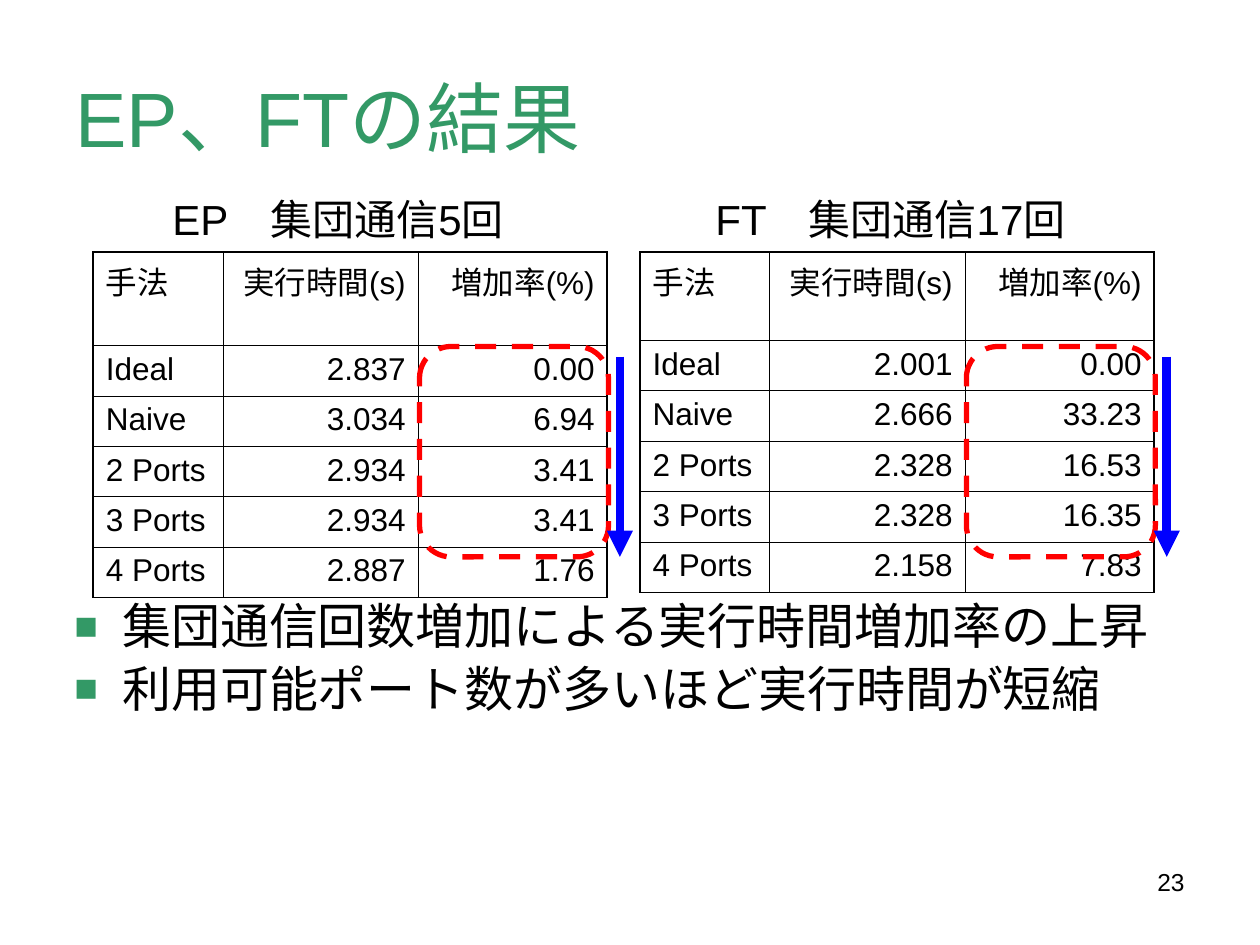
from dataclasses import dataclass

from lxml import etree
from pptx import Presentation
from pptx.dml.color import RGBColor
from pptx.enum import dml, shapes, text
from pptx.oxml.ns import qn
from pptx.util import Inches, Pt


@dataclass(frozen=True)
class Theme:
    font: str = "Arial"
    accent: str = "339966"
    ink: str = "000000"
    highlight: str = "FF0000"
    arrow: str = "0000FF"
    title: int = 44
    bullet: int = 28
    heading: int = 24
    cell: int = 18
    number: int = 14


THEME = Theme()


def write(paragraph, content, size, color=THEME.ink, align=text.PP_ALIGN.LEFT):
    paragraph.alignment = align
    run = paragraph.add_run()
    run.text = content
    run.font.name = THEME.font
    run.font.size = Pt(size)
    run.font.color.rgb = RGBColor.from_string(color)


def add_xml(parent, tag, **attributes):
    return etree.SubElement(parent, qn(tag), attributes)


deck = Presentation()
deck.slide_width, deck.slide_height = Inches(10), Inches(7.5)
slide = deck.slides.add_slide(deck.slide_layouts[1])

# Title
title = slide.shapes.title
title.left, title.top, title.width, title.height = map(Inches, (0.5, 0.3, 9, 1.25))
title.text_frame.vertical_anchor = text.MSO_ANCHOR.MIDDLE
title.text_frame.auto_size = text.MSO_AUTO_SIZE.NONE
write(title.text_frame.paragraphs[0], "EP、FTの結果", THEME.title, THEME.accent)

# Findings
findings = slide.placeholders[1]
findings.left, findings.top, findings.width, findings.height = map(
    Inches, (0.49, 4.75, 9, 1.25))
findings.text_frame.auto_size = text.MSO_AUTO_SIZE.NONE
for index, finding in enumerate((
        "集団通信回数増加による実行時間増加率の上昇",
        "利用可能ポート数が多いほど実行時間が短縮")):
    frame = findings.text_frame
    paragraph = frame.add_paragraph() if index else frame.paragraphs[0]
    properties = paragraph._p.get_or_add_pPr()
    properties.set("marL", str(Inches(0.38)))
    properties.set("indent", str(-Inches(0.38)))
    add_xml(add_xml(properties, "a:buClr"), "a:srgbClr", val=THEME.accent)
    add_xml(properties, "a:buSzPct", val="80000")
    add_xml(properties, "a:buFont", typeface=THEME.font)
    add_xml(properties, "a:buChar", char="■")
    paragraph.line_spacing = 0.85
    paragraph.space_before = Pt(7 if index else 0)
    write(paragraph, finding, THEME.bullet)

# Benchmarks: heading, heading left and width, table left, times and increases
header = ("手法", "実行時間(s)", "増加率(%)")
methods = ("Ideal", "Naive", "2 Ports", "3 Ports", "4 Ports")
benchmarks = (
    ("EP\u3000集団通信5回".replace("\u3000", "　"), 1.27, 3.07, 0.74,
     ("2.837", "3.034", "2.934", "2.934", "2.887"),
     ("0.00", "6.94", "3.41", "3.41", "1.76")),
    ("FT　集団通信17回", 5.58, 3.22, 5.08,
     ("2.001", "2.666", "2.328", "2.328", "2.158"),
     ("0.00", "33.23", "16.53", "16.35", "7.83")),
)
column_widths = (1.03, 1.55, 1.5)
row_heights = (0.7,) + (0.4,) * len(methods)
OUTER, INNER = Pt(1.08), Pt(0.45)

for heading, heading_left, heading_width, left, times, increases in benchmarks:
    # Result table
    rows = [header, *zip(methods, times, increases)]
    results = slide.shapes.add_table(
        len(rows), len(header), Inches(left), Inches(2),
        Inches(sum(column_widths)), Inches(sum(row_heights))).table
    results.first_row = results.horz_banding = False
    for column, width in zip(results.columns, column_widths):
        column.width = Inches(width)
    for row, height in zip(results.rows, row_heights):
        row.height = Inches(height)
    for r, values in enumerate(rows):
        for c, value in enumerate(values):
            cell = results.cell(r, c)
            align = text.PP_ALIGN.RIGHT if c else text.PP_ALIGN.LEFT
            write(cell.text_frame.paragraphs[0], value, THEME.cell, align=align)
            edges = {"a:lnL": c == 0, "a:lnR": c == len(header) - 1,
                     "a:lnT": r == 0, "a:lnB": r == len(rows) - 1}
            for edge, is_outer in edges.items():
                border = add_xml(cell._tc.get_or_add_tcPr(), edge,
                                 w=str(OUTER if is_outer else INNER))
                add_xml(add_xml(border, "a:solidFill"), "a:srgbClr", val=THEME.ink)
            cell.fill.background()

    # Heading above the table
    caption = slide.shapes.add_textbox(
        Inches(heading_left), Inches(1.49), Inches(heading_width), Inches(0.5))
    caption.text_frame.word_wrap = False
    caption.text_frame.auto_size = text.MSO_AUTO_SIZE.SHAPE_TO_FIT_TEXT
    write(caption.text_frame.paragraphs[0], heading, THEME.heading)

    # Dashed frame around the increase rates
    highlight = slide.shapes.add_shape(
        shapes.MSO_SHAPE.ROUNDED_RECTANGLE,
        Inches(left + 2.59), Inches(2.75), Inches(1.5), Inches(1.67))
    highlight.shadow.inherit = False
    highlight.fill.background()
    highlight.line.color.rgb = RGBColor.from_string(THEME.highlight)
    highlight.line.width = Pt(3)
    highlight.line.dash_style = dml.MSO_LINE.DASH

    # Downward trend arrow
    trend = slide.shapes.add_connector(
        shapes.MSO_CONNECTOR.STRAIGHT,
        Inches(left + 4.18), Inches(2.83), Inches(left + 4.18), Inches(4.42))
    trend.line.color.rgb = RGBColor.from_string(THEME.arrow)
    trend.line.width = Pt(5)
    add_xml(trend.line._get_or_add_ln(), "a:tailEnd", type="triangle")
    add_xml(trend._element.spPr, "a:effectLst")

# Page number
page = slide.shapes.add_textbox(Inches(7.17), Inches(6.83), Inches(2.33), Inches(0.52))
page.text_frame.word_wrap = True
write(page.text_frame.paragraphs[0], "23", THEME.number, align=text.PP_ALIGN.RIGHT)

deck.save("out.pptx")
